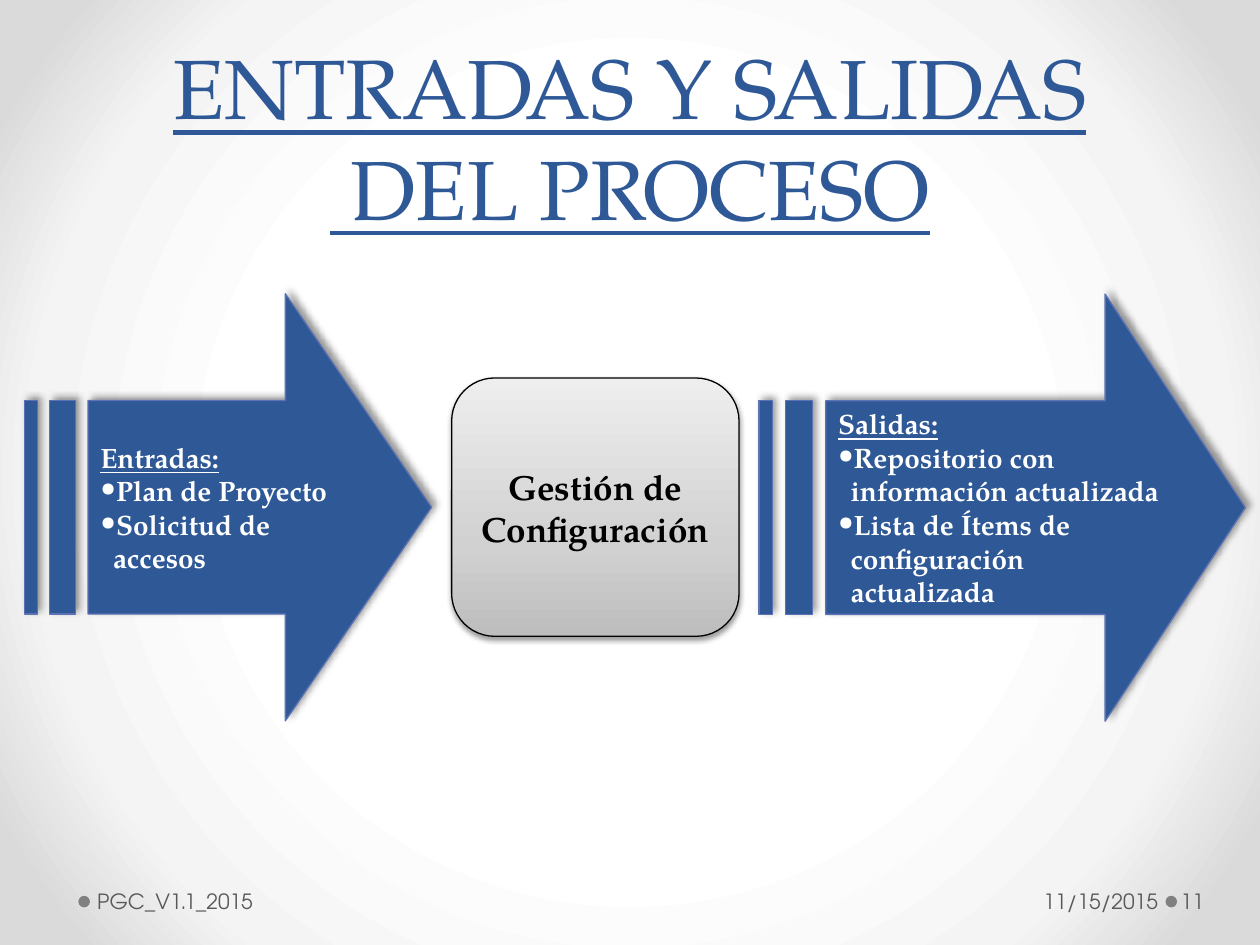
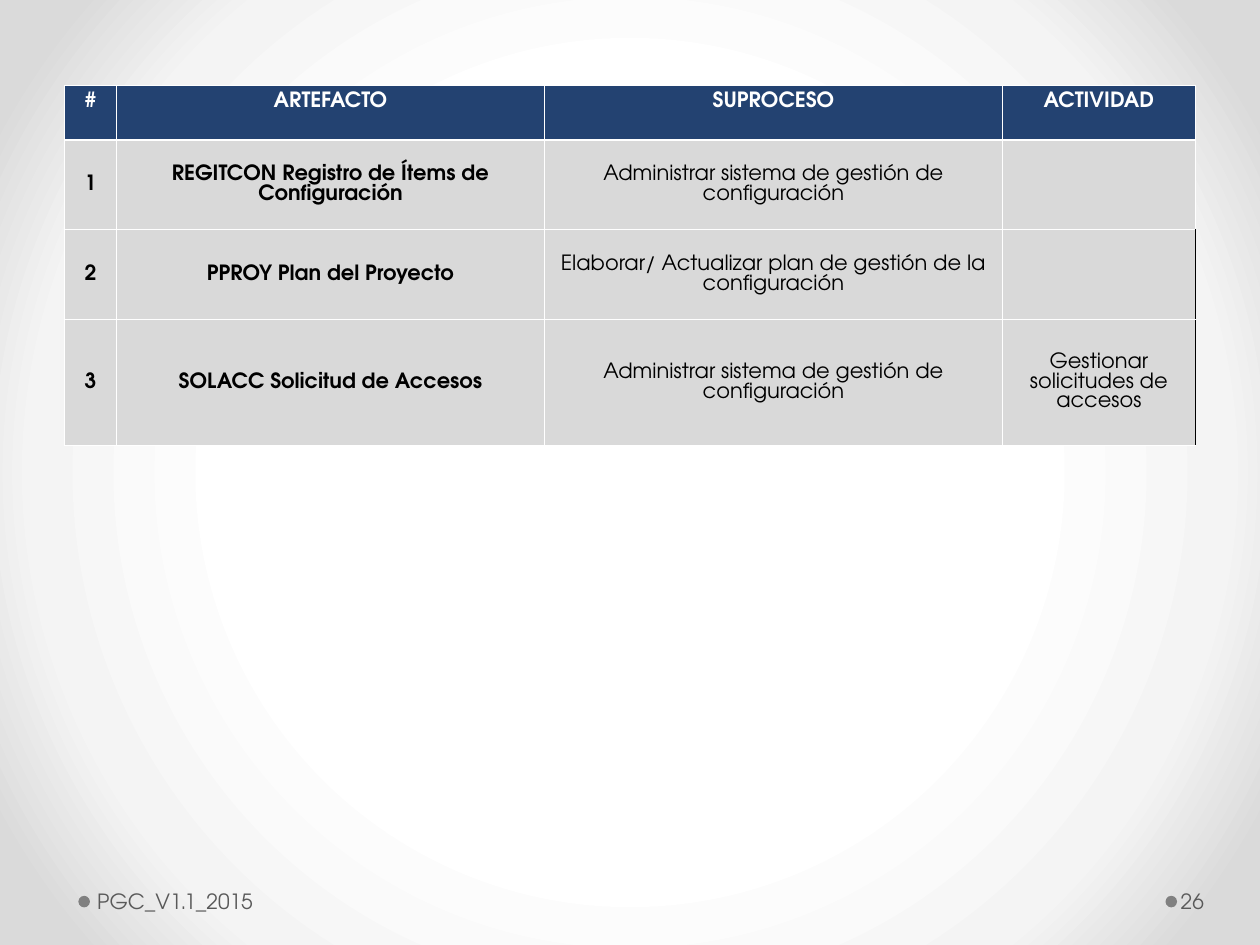
from dataclasses import dataclass

from pptx import Presentation
from pptx.dml.color import RGBColor
from pptx.enum.shapes import MSO_SHAPE as Preset
from pptx.enum.text import MSO_ANCHOR as Anchor, MSO_AUTO_SIZE as AutoSize, PP_ALIGN as Align
from pptx.oxml import parse_xml
from pptx.oxml.ns import nsdecls, qn
from pptx.util import Pt


@dataclass(frozen=True)
class Theme:
    blue: str = "2F5897"
    blue_edge: str = "5C72B2"
    header: str = "234271"
    cell: str = "D9D9D9"
    white: str = "FFFFFF"
    black: str = "000000"
    footer: str = "595959"
    dot: str = "808080"
    serif: str = "TeX Gyre Pagella"
    sans: str = "TeX Gyre Adventor"
    title_size: int = 48
    box_size: int = 20
    arrow_size: int = 16
    small_size: int = 12
    background: tuple = ((50, "FFFFFF"), (76, "F4F4F4"), (92, "DADADA"))
    box: tuple = ((0, "BDBDBD"), (35, "D1D1D1"), (100, "EEEEEE"))


THEME = Theme()
RADIAL = ('<a:path path="circle"><a:fillToRect l="50000" t="50000" '
          'r="50000" b="50000"/></a:path>')
UPWARD = '<a:lin ang="16200000" scaled="0"/>'
FOOTER_TOP, FOOTER_HEIGHT = 500.4, 28.8


def color(value):
    return RGBColor.from_string(value)


def points(values):
    return [Pt(value) for value in values]


def write(paragraph, text, size=THEME.small_size, font=THEME.sans, ink=THEME.black,
          bold=False, underline=False, align=Align.LEFT):
    paragraph.alignment = align
    for index, line in enumerate(text.split("\n")):
        if index:
            paragraph.add_line_break()
        run = paragraph.add_run()
        run.text = line
        run.font.size = Pt(size)
        run.font.name = font
        run.font.bold = bold
        run.font.underline = underline
        run.font.color.rgb = color(ink)


def add_bullet(paragraph):
    properties = paragraph._p.get_or_add_pPr()
    properties.set("marL", str(Pt(7.2)))
    properties.set("indent", str(-Pt(7.2)))
    properties.append(parse_xml(f'<a:buFont {nsdecls("a")} typeface="{THEME.serif}"/>'))
    properties.append(parse_xml(f'<a:buChar {nsdecls("a")} char="•"/>'))


def paint_gradient(fill, element, stops, direction):
    fill.gradient()
    gradient = element.find(".//" + qn("a:gradFill"))
    stop_list = "".join(
        f'<a:gs pos="{position * 1000}"><a:srgbClr val="{value}"/></a:gs>'
        for position, value in stops)
    gradient.getparent().replace(gradient, parse_xml(
        f'<a:gradFill {nsdecls("a")} rotWithShape="1"><a:gsLst>{stop_list}</a:gsLst>'
        f'{direction}</a:gradFill>'))


def add_shadow(shape, alpha, blur, distance, angle):
    effects = shape._element.spPr.find(qn("a:effectLst"))
    effects.append(parse_xml(
        f'<a:outerShdw {nsdecls("a")} blurRad="{Pt(blur)}" dist="{Pt(distance)}" '
        f'dir="{angle * 60000}" algn="ctr" rotWithShape="0">'
        f'<a:srgbClr val="{THEME.black}"><a:alpha val="{alpha * 1000}"/></a:srgbClr>'
        '</a:outerShdw>'))


def add_preset(slide, preset, area, fill=None, edge=None):
    shape = slide.shapes.add_shape(preset, *points(area))
    shape.shadow.inherit = False
    if fill:
        shape.fill.solid()
        shape.fill.fore_color.rgb = color(fill)
    if edge:
        shape.line.color.rgb = color(edge)
        shape.line.width = Pt(0.75)
    else:
        shape.line.fill.background()
    shape.text_frame.word_wrap = True
    shape.text_frame.vertical_anchor = Anchor.MIDDLE
    return shape


def add_title(slide, text, area):
    title = slide.shapes.title
    title.left, title.top, title.width, title.height = points(area)
    frame = title.text_frame
    frame.auto_size = AutoSize.NONE
    frame.vertical_anchor = Anchor.BOTTOM
    write(frame.paragraphs[0], text, size=THEME.title_size, font=THEME.serif,
          ink=THEME.blue, underline=True, align=Align.CENTER)


def add_flow_arrow(slide, area, head, heading, items):
    arrow = add_preset(slide, Preset.STRIPED_RIGHT_ARROW, area, THEME.blue, THEME.blue_edge)
    arrow.adjustments[0] = 0.5
    arrow.adjustments[1] = head
    add_shadow(arrow, 40, 4, 3, 315)
    style = dict(size=THEME.arrow_size, font=THEME.serif, ink=THEME.white, bold=True)
    frame = arrow.text_frame
    write(frame.paragraphs[0], heading, underline=True, **style)
    for item in items:
        paragraph = frame.add_paragraph()
        write(paragraph, item, **style)
        add_bullet(paragraph)


def add_process_box(slide, area, text):
    box = add_preset(slide, Preset.ROUNDED_RECTANGLE, area, edge=THEME.black)
    paint_gradient(box.fill, box._element.spPr, THEME.box, UPWARD)
    add_shadow(box, 38, 3.1, 1.6, 90)
    write(box.text_frame.paragraphs[0], text, size=THEME.box_size, font=THEME.serif,
          bold=True, align=Align.CENTER)


def add_footer_text(slide, text, left, width, inset_left, inset_right, align=Align.LEFT):
    box = slide.shapes.add_textbox(*points((left, FOOTER_TOP, width, FOOTER_HEIGHT)))
    frame = box.text_frame
    frame.word_wrap = True
    frame.vertical_anchor = Anchor.MIDDLE
    frame.margin_left, frame.margin_right = points((inset_left, inset_right))
    write(frame.paragraphs[0], text, ink=THEME.footer, align=align)


def add_footer(slide, number, date=None):
    for left in (666, 44.8):
        add_preset(slide, Preset.OVAL, (left, 511.9, 6.6, 6.6), THEME.dot)
    add_footer_text(slide, "PGC_V1.1_2015", 52, 285.1, 3.6, 7.2)
    add_footer_text(slide, number, 672.5, 43.9, 2.2, 3.6)
    if date:
        add_footer_text(slide, date, 501.1, 164.2, 7.2, 3.6, Align.RIGHT)


def set_borders(cell, right):
    properties = cell._tc.get_or_add_tcPr()
    sides = {"L": THEME.white, "R": right, "T": THEME.white, "B": THEME.white}
    for index, (side, value) in enumerate(sides.items()):
        properties.insert(index, parse_xml(
            f'<a:ln{side} {nsdecls("a")} w="{Pt(1)}"><a:solidFill>'
            f'<a:srgbClr val="{value}"/></a:solidFill></a:ln{side}>'))


def add_artifact_table(slide, area, widths, heights, rows):
    table = slide.shapes.add_table(len(rows), len(widths), *points(area)).table
    for column, width in zip(table.columns, widths):
        column.width = Pt(width)
    for row, height in zip(table.rows, heights):
        row.height = Pt(height)
    for row_index, texts in enumerate(rows):
        is_header = row_index == 0
        for column_index, text in enumerate(texts):
            cell = table.cell(row_index, column_index)
            cell.fill.solid()
            cell.fill.fore_color.rgb = color(THEME.header if is_header else THEME.cell)
            cell.vertical_anchor = Anchor.TOP if is_header else Anchor.MIDDLE
            is_open = row_index > 1 and column_index == len(widths) - 1
            set_borders(cell, THEME.black if is_open else THEME.white)
            if text:
                write(cell.text_frame.paragraphs[0], text, align=Align.CENTER,
                      ink=THEME.white if is_header else THEME.black,
                      bold=is_header or column_index < 2)


def build_process_slide(presentation):
    slide = presentation.slides.add_slide(presentation.slide_layouts[5])
    add_flow_arrow(slide, (14, 167.8, 232.6, 244.1), 0.359, "Entradas:",
                   ["Plan de Proyecto", "Solicitud de accesos"])
    add_flow_arrow(slide, (433.7, 168, 277.9, 244.1), 0.328, "Salidas:",
                   ["Repositorio con información actualizada",
                    "Lista de Ítems de configuración actualizada"])
    add_process_box(slide, (258.1, 216, 164.2, 147.6), "Gestión de Configuración")
    add_title(slide, "ENTRADAS Y SALIDAS\n DEL PROCESO", (19.8, 14, 680.4, 125.3))
    add_footer(slide, "11", "11/15/2015")


def build_artifact_slide(presentation):
    slide = presentation.slides.add_slide(presentation.slide_layouts[6])
    manage = "Administrar sistema de gestión de configuración"
    add_artifact_table(
        slide, (37, 48.9, 646.2, 205.7), (29.5, 244.8, 261.5, 110.4), (31, 51.4, 51.4, 71.9),
        [("#", "ARTEFACTO", "SUPROCESO", "ACTIVIDAD"),
         ("1", "REGITCON Registro de Ítems de Configuración", manage, ""),
         ("2", "PPROY Plan del Proyecto",
          "Elaborar/ Actualizar plan de gestión de la configuración", ""),
         ("3", "SOLACC Solicitud de Accesos", manage, "Gestionar solicitudes de accesos")])
    add_footer(slide, "26")


def main():
    presentation = Presentation()
    presentation.slide_width, presentation.slide_height = Pt(720), Pt(540)
    master = presentation.slide_master
    paint_gradient(master.background.fill, master.element, THEME.background, RADIAL)
    build_process_slide(presentation)
    build_artifact_slide(presentation)
    presentation.save("out.pptx")


if __name__ == "__main__":
    main()
